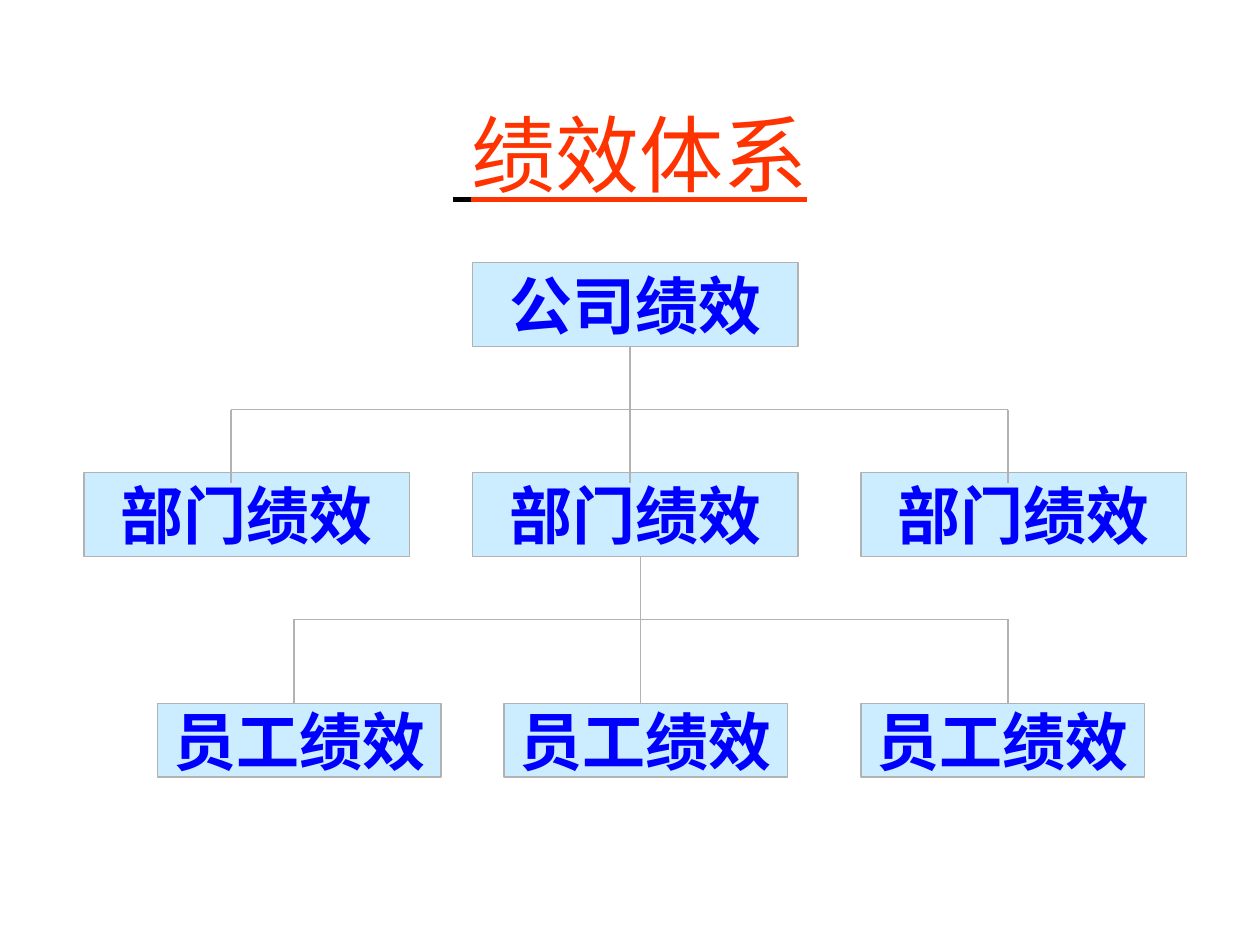
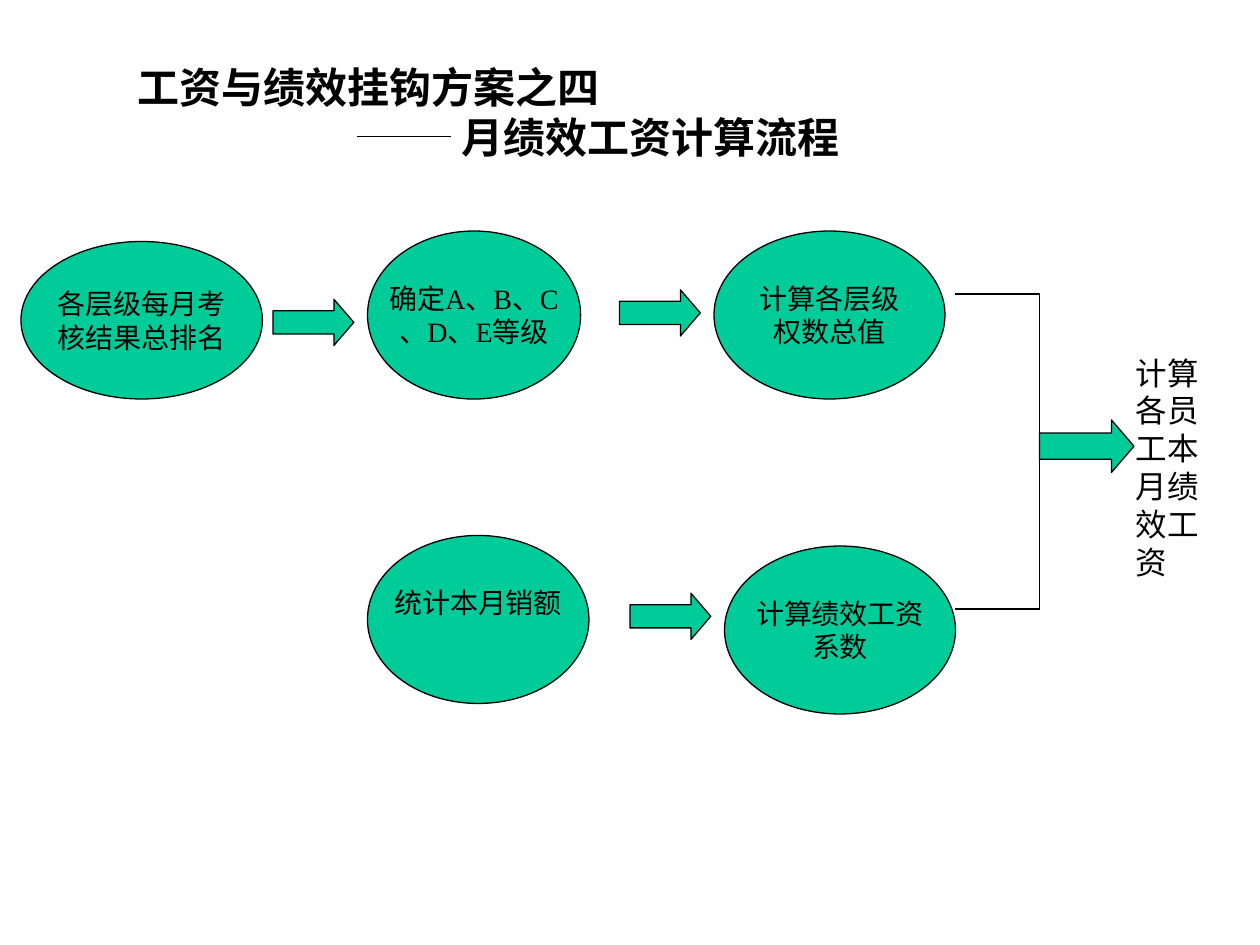
from lxml.etree import SubElement
from pptx import Presentation
from pptx.dml.color import RGBColor
from pptx.enum.shapes import MSO_CONNECTOR, MSO_SHAPE
from pptx.enum.text import MSO_ANCHOR, MSO_AUTO_SIZE, PP_ALIGN
from pptx.oxml.ns import qn
from pptx.util import Pt

EMU_PER_PX = 7620
FONT = "Times New Roman"
BLACK = RGBColor(0x00, 0x00, 0x00)
RED = RGBColor(0xFF, 0x33, 0x00)
BLUE = RGBColor(0x00, 0x00, 0xFF)
PALE_BLUE = RGBColor(0xCC, 0xEC, 0xFF)
GREY = RGBColor(0xB2, 0xB2, 0xB2)
GREEN = RGBColor(0x00, 0xCC, 0x99)


def px(value):
    return value * EMU_PER_PX


def place(shape, left, top, width, height):
    shape.left, shape.top = px(left), px(top)
    shape.width, shape.height = px(width), px(height)


def write(frame, text, size, color=BLACK, bold=False, align=PP_ALIGN.CENTER):
    frame.text = text
    for para in frame.paragraphs:
        para.alignment = align
        for span in para.runs:
            style(span, size, color, bold)


def style(span, size, color, bold=False):
    span.font.name = FONT
    span.font.size = Pt(size)
    span.font.bold = bold
    span.font.color.rgb = color


def add_page(deck):
    page = deck.slides.add_slide(deck.slide_layouts[5])
    page.shapes.title.text_frame.auto_size = MSO_AUTO_SIZE.NONE
    return page


def draw_shape(page, kind, bounds, fill, line_color, line_width):
    shape = page.shapes.add_shape(kind, *map(px, bounds))
    shape.shadow.inherit = False
    shape.fill.solid()
    shape.fill.fore_color.rgb = fill
    shape.line.color.rgb = line_color
    shape.line.width = Pt(line_width)
    return shape


def draw_line(page, start, end, color=BLACK, width=0.75):
    line = page.shapes.add_connector(MSO_CONNECTOR.STRAIGHT, *map(px, start + end))
    line.line.color.rgb = color
    line.line.width = Pt(width)
    SubElement(line._element.spPr, qn("a:effectLst"))


def draw_level_box(page, text, bounds):
    box = draw_shape(page, MSO_SHAPE.RECTANGLE, bounds, PALE_BLUE, GREY, 1)
    box.text_frame.word_wrap = False
    write(box.text_frame, text, 36, BLUE, bold=True)


def draw_fork(page, stem, top, bar, bottom, branches):
    draw_line(page, (branches[0], bar), (branches[-1], bar), GREY, 1)
    draw_line(page, (stem, top), (stem, bottom), GREY, 1)
    for branch in branches:
        draw_line(page, (branch, bar), (branch, bottom), GREY, 1)


def draw_step(page, text, bounds):
    step = draw_shape(page, MSO_SHAPE.OVAL, bounds, GREEN, BLACK, 0.75)
    step.text_frame.word_wrap = False
    write(step.text_frame, text, 16)
    return step


def draw_arrow(page, left, top, width=77, height=44):
    arrow = draw_shape(page, MSO_SHAPE.RIGHT_ARROW, (left, top, width, height),
                       GREEN, BLACK, 0.75)
    arrow.adjustments[1] = 0.43


def draw_text(page, text, bounds, size, bold=False, align=PP_ALIGN.LEFT):
    box = page.shapes.add_textbox(*map(px, bounds))
    box.text_frame.word_wrap = True
    write(box.text_frame, text, size, bold=bold, align=align)


def build_performance_system(deck):
    page = add_page(deck)
    title = page.shapes.title
    place(title, 90, 90, 1020, 112)
    title.text_frame.vertical_anchor = MSO_ANCHOR.MIDDLE
    write(title.text_frame, " ", 48)
    para = title.text_frame.paragraphs[0]
    name = para.add_run()
    name.text = "绩效体系"
    style(name, 48, RED)
    for span in para.runs:
        span.font.underline = True

    draw_level_box(page, "公司绩效", (450, 250, 310, 80))
    for left in (80, 450, 820):
        draw_level_box(page, "部门绩效", (left, 450, 310, 80))
    for left in (150, 480, 820):
        draw_level_box(page, "员工绩效", (left, 670, 270, 70))
    draw_fork(page, 600, 330, 390, 460, (220, 960))
    draw_fork(page, 610, 530, 590, 670, (280, 960))


def build_wage_process(deck):
    page = add_page(deck)
    title = page.shapes.title
    place(title, 119, 53, 463, 60)
    title.text_frame.margin_right = 0
    title.text_frame.vertical_anchor = MSO_ANCHOR.TOP
    write(title.text_frame, "工资与绩效挂钩方案之四", 24, bold=True, align=PP_ALIGN.LEFT)
    draw_text(page, "月绩效工资计算流程", (230, 100, 780, 60), 24, True, PP_ALIGN.CENTER)
    draw_line(page, (340, 130), (430, 130))

    draw_step(page, "各层级每月考\n核结果总排名", (20, 230, 230, 150))
    draw_step(page, "确定A、B、C\n、D、E等级", (350, 220, 203, 160))
    draw_step(page, "计算各层级\n权数总值", (680, 220, 220, 160))
    sales = draw_step(page, "统计本月销额", (350, 510, 211, 160))
    sales.text_frame.margin_bottom = px(38)
    draw_step(page, "计算绩效工资\n系数", (690, 520, 220, 160))

    for left, top in ((260, 285), (590, 276), (600, 565)):
        draw_arrow(page, left, top)
    draw_arrow(page, 990, 400, 90, 50)

    draw_line(page, (990, 280), (990, 580))
    for level in (280, 580):
        draw_line(page, (910, level), (990, level))
    draw_text(page, "计算各员工本月绩效工资", (1070, 331, 110, 228), 18)


def main():
    deck = Presentation()
    deck.slide_width, deck.slide_height = px(1200), px(900)
    build_performance_system(deck)
    build_wage_process(deck)
    deck.save("out.pptx")


if __name__ == "__main__":
    main()
